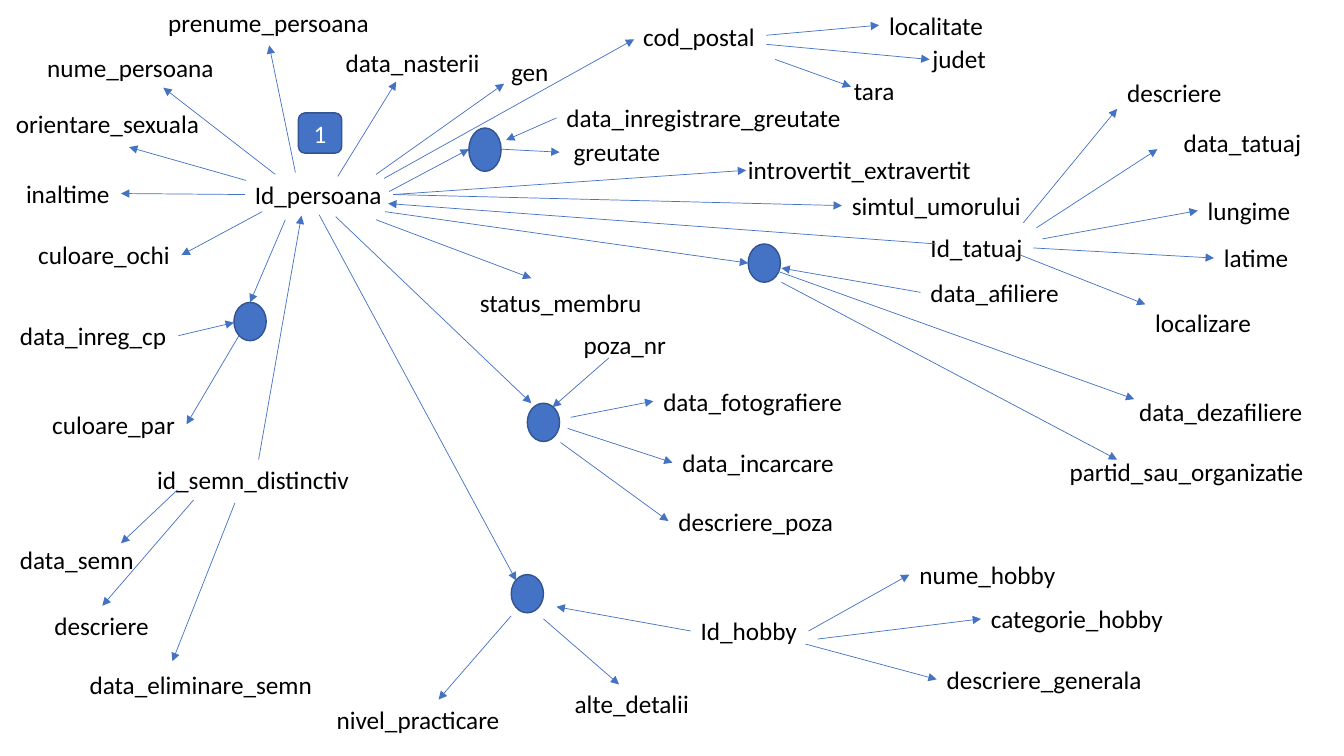
from dataclasses import dataclass
from typing import NamedTuple

from lxml.etree import SubElement
from pptx import Presentation
from pptx.dml.color import RGBColor
from pptx.enum.shapes import MSO_CONNECTOR, MSO_SHAPE
from pptx.enum.text import MSO_ANCHOR, MSO_AUTO_SIZE, PP_ALIGN
from pptx.oxml.ns import qn
from pptx.shapes.autoshape import Shape
from pptx.slide import Slide
from pptx.util import Inches, Pt


@dataclass(frozen=True)
class Theme:
    font: str = "Calibri"
    text_size: Pt = Pt(18)
    text: RGBColor = RGBColor(0x00, 0x00, 0x00)
    badge_text: RGBColor = RGBColor(0xFF, 0xFF, 0xFF)
    accent: RGBColor = RGBColor(0x44, 0x72, 0xC4)
    outline: RGBColor = RGBColor(0x32, 0x54, 0x91)
    outline_width: Pt = Pt(1)
    arrow_width: Pt = Pt(0.5)


class Label(NamedTuple):
    text: str
    left: float
    top: float
    width: float
    wrap: bool = False


class Node(NamedTuple):
    left: float
    top: float
    width: float = 0.32
    height: float = 0.38


class Arrow(NamedTuple):
    start_x: float
    start_y: float
    end_x: float
    end_y: float


THEME = Theme()
LABEL_HEIGHT = 0.4
JOIN_TOLERANCE = 0.02

LABELS = [
    # Person attributes
    Label("Id_persoana", 2.43, 1.73, 1.47),
    Label("nume_persoana", 0.37, 0.47, 1.87),
    Label("prenume_persoana", 1.57, 0.02, 2.22),
    Label("data_nasterii", 3.33, 0.42, 1.54),
    Label("gen", 4.97, 0.51, 0.58),
    Label("orientare_sexuala", 0.06, 1.03, 2.04),
    Label("inaltime", 0.16, 1.72, 1.04),
    Label("culoare_ochi", 0.28, 2.33, 1.52),
    Label("introvertit_extravertit", 7.32, 1.48, 2.44),
    Label("simtul_umorului", 8.35, 1.84, 1.9),
    Label("status_membru", 4.66, 2.8, 1.82),
    # Postal code
    Label("cod_postal", 6.28, 0.16, 1.71, wrap=True),
    Label("localitate", 8.72, 0.05, 1.14),
    Label("judet", 9.15, 0.38, 0.74),
    Label("tara", 8.37, 0.7, 0.61),
    # Weight and hair colour
    Label("greutate", 5.59, 1.3, 1.07),
    Label("data_inregistrare_greutate", 5.52, 0.97, 2.95),
    Label("data_inreg_cp", 0.1, 3.13, 1.67),
    Label("culoare_par", 0.42, 4.01, 1.43),
    # Tattoo
    Label("Id_tatuaj", 9.13, 2.26, 1.12),
    Label("descriere", 11.08, 0.72, 1.15),
    Label("data_tatuaj", 11.64, 1.21, 1.38),
    Label("lungime", 11.88, 1.89, 1.03),
    Label("latime", 12.04, 2.36, 0.85),
    Label("localizare", 11.36, 3, 1.16),
    # Distinctive mark
    Label("id_semn_distinctiv", 1.46, 4.56, 2.21),
    Label("data_semn", 0.1, 5.35, 1.34),
    Label("descriere", 0.44, 6.01, 1.15),
    Label("data_eliminare_semn", 0.79, 6.59, 2.43),
    # Photo
    Label("poza_nr", 5.69, 3.22, 1.03),
    Label("data_fotografiere", 6.48, 3.78, 1.99),
    Label("data_incarcare", 6.67, 4.39, 1.72),
    Label("descriere_poza", 6.63, 4.97, 1.75),
    # Hobby
    Label("Id_hobby", 6.85, 6.06, 1.17),
    Label("nume_hobby", 9.02, 5.5, 1.57),
    Label("categorie_hobby", 9.73, 5.94, 1.93),
    Label("descriere_generala", 9.29, 6.54, 2.16),
    Label("nivel_practicare", 3.24, 6.94, 1.84),
    Label("alte_detalii", 5.6, 6.78, 1.35),
    # Affiliation
    Label("data_afiliere", 9.13, 2.7, 1.52),
    Label("data_dezafiliere", 11.2, 3.88, 1.84),
    Label("partid_sau_organizatie", 10.51, 4.48, 2.55),
]

# Weight, hair colour, photo, hobby, affiliation
NODES = [Node(4.65, 1.27, height=0.43), Node(2.32, 3), Node(5.23, 4),
         Node(5.07, 5.7), Node(7.42, 2.42)]
BADGE = Node(2.96, 1.12, 0.43, 0.4)

ARROWS = [
    # Person attributes
    Arrow(2.73, 1.73, 1.62, 0.87), Arrow(2.93, 1.71, 2.67, 0.45),
    Arrow(3.35, 1.75, 3.93, 0.81), Arrow(3.73, 1.73, 5, 0.83),
    Arrow(2.44, 1.79, 1.28, 1.46), Arrow(2.43, 1.93, 1.2, 1.92),
    Arrow(2.6, 2.1, 1.81, 2.53), Arrow(3.9, 1.93, 7.4, 1.69),
    Arrow(3.9, 1.93, 8.35, 2.05), Arrow(3.73, 2.18, 5.27, 2.76),
    # Postal code
    Arrow(3.81, 1.77, 6.29, 0.39), Arrow(7.6, 0.35, 8.72, 0.26),
    Arrow(7.6, 0.44, 9.22, 0.59), Arrow(7.69, 0.59, 8.44, 0.86),
    # Weight and hair colour
    Arrow(3.86, 1.9, 4.65, 1.48), Arrow(5.52, 1.17, 5.02, 1.39),
    Arrow(4.97, 1.48, 5.55, 1.51), Arrow(1.77, 3.33, 2.32, 3.2),
    Arrow(2.83, 2.18, 2.48, 3), Arrow(2.37, 3.33, 1.86, 4.21),
    # Tattoo
    Arrow(9.28, 2.42, 3.85, 2.02), Arrow(10.15, 2.21, 11.08, 1.08),
    Arrow(10.28, 2.26, 11.48, 1.48), Arrow(10.34, 2.37, 11.88, 2.09),
    Arrow(10.25, 2.46, 12.04, 2.56), Arrow(10.12, 2.53, 11.36, 3.02),
    # Distinctive mark
    Arrow(2.57, 4.56, 2.99, 2.14), Arrow(1.76, 4.86, 1.2, 5.39),
    Arrow(1.92, 4.96, 1.01, 6.01), Arrow(2.33, 4.99, 1.71, 6.56),
    # Photo
    Arrow(3.33, 2.15, 5.27, 4), Arrow(6.04, 3.55, 5.48, 4.04),
    Arrow(5.66, 4.14, 6.48, 3.98), Arrow(5.63, 4.25, 6.67, 4.59),
    Arrow(5.56, 4.39, 6.63, 5.17),
    # Hobby
    Arrow(3.17, 2.13, 5.12, 5.76), Arrow(6.85, 6.26, 5.52, 6.02),
    Arrow(5.07, 6.11, 4.35, 6.94), Arrow(5.39, 6.14, 6.14, 6.79),
    Arrow(8.02, 6.26, 9.02, 5.7), Arrow(8.11, 6.34, 9.73, 6.14),
    Arrow(7.99, 6.39, 9.29, 6.74),
    # Affiliation
    Arrow(3.82, 2.1, 7.42, 2.61), Arrow(9.13, 2.9, 7.75, 2.66),
    Arrow(7.71, 2.69, 11.25, 3.96), Arrow(7.75, 2.8, 11.08, 4.56),
]


def write_text(shape: Shape, text: str, color: RGBColor) -> None:
    paragraph = shape.text_frame.paragraphs[0]
    paragraph.text = text
    paragraph.font.name = THEME.font
    paragraph.font.size = THEME.text_size
    paragraph.font.color.rgb = color


def add_label(slide: Slide, label: Label) -> Shape:
    shape = slide.shapes.add_textbox(Inches(label.left), Inches(label.top),
                                     Inches(label.width), Inches(LABEL_HEIGHT))
    shape.text_frame.word_wrap = label.wrap
    shape.text_frame.auto_size = MSO_AUTO_SIZE.SHAPE_TO_FIT_TEXT
    write_text(shape, label.text, THEME.text)
    return shape


def add_node(slide: Slide, node: Node, preset: MSO_SHAPE) -> Shape:
    shape = slide.shapes.add_shape(preset, *(Inches(length) for length in node))
    shape.shadow.inherit = False
    shape.fill.solid()
    shape.fill.fore_color.rgb = THEME.accent
    shape.line.color.rgb = THEME.outline
    shape.line.width = THEME.outline_width
    return shape


def find_side(x: float, y: float, boxes: list[Shape]) -> tuple[Shape, int] | None:
    """Return the box and side whose middle lies at the given point."""
    for box in boxes:
        center_x, center_y = box.left + box.width / 2, box.top + box.height / 2
        middles = [(center_x, box.top), (box.left, center_y),
                   (center_x, box.top + box.height), (box.left + box.width, center_y)]
        for side, (middle_x, middle_y) in enumerate(middles):
            gap = max(abs(middle_x - Inches(x)), abs(middle_y - Inches(y)))
            if gap <= Inches(JOIN_TOLERANCE):
                return box, side
    return None


def add_arrow(slide: Slide, arrow: Arrow, boxes: list[Shape]) -> None:
    connector = slide.shapes.add_connector(
        MSO_CONNECTOR.STRAIGHT, *(Inches(length) for length in arrow))
    connector.line.color.rgb = THEME.accent
    connector.line.width = THEME.arrow_width
    SubElement(connector.line._get_or_add_ln(), qn("a:tailEnd"), type="triangle")
    SubElement(connector._element.spPr, qn("a:effectLst"))
    if start := find_side(arrow.start_x, arrow.start_y, boxes):
        connector.begin_connect(*start)
    if end := find_side(arrow.end_x, arrow.end_y, boxes):
        connector.end_connect(*end)


def main() -> None:
    presentation = Presentation()
    presentation.slide_width, presentation.slide_height = Inches(13.33), Inches(7.5)
    slide = presentation.slides.add_slide(presentation.slide_layouts[6])

    boxes = [add_label(slide, label) for label in LABELS]
    for node in NODES:
        add_node(slide, node, MSO_SHAPE.OVAL)
    for arrow in ARROWS:
        add_arrow(slide, arrow, boxes)

    # Numbered badge
    badge = add_node(slide, BADGE, MSO_SHAPE.ROUNDED_RECTANGLE)
    write_text(badge, "1", THEME.badge_text)
    badge.text_frame.vertical_anchor = MSO_ANCHOR.MIDDLE
    badge.text_frame.paragraphs[0].alignment = PP_ALIGN.CENTER

    presentation.save("out.pptx")


if __name__ == "__main__":
    main()
